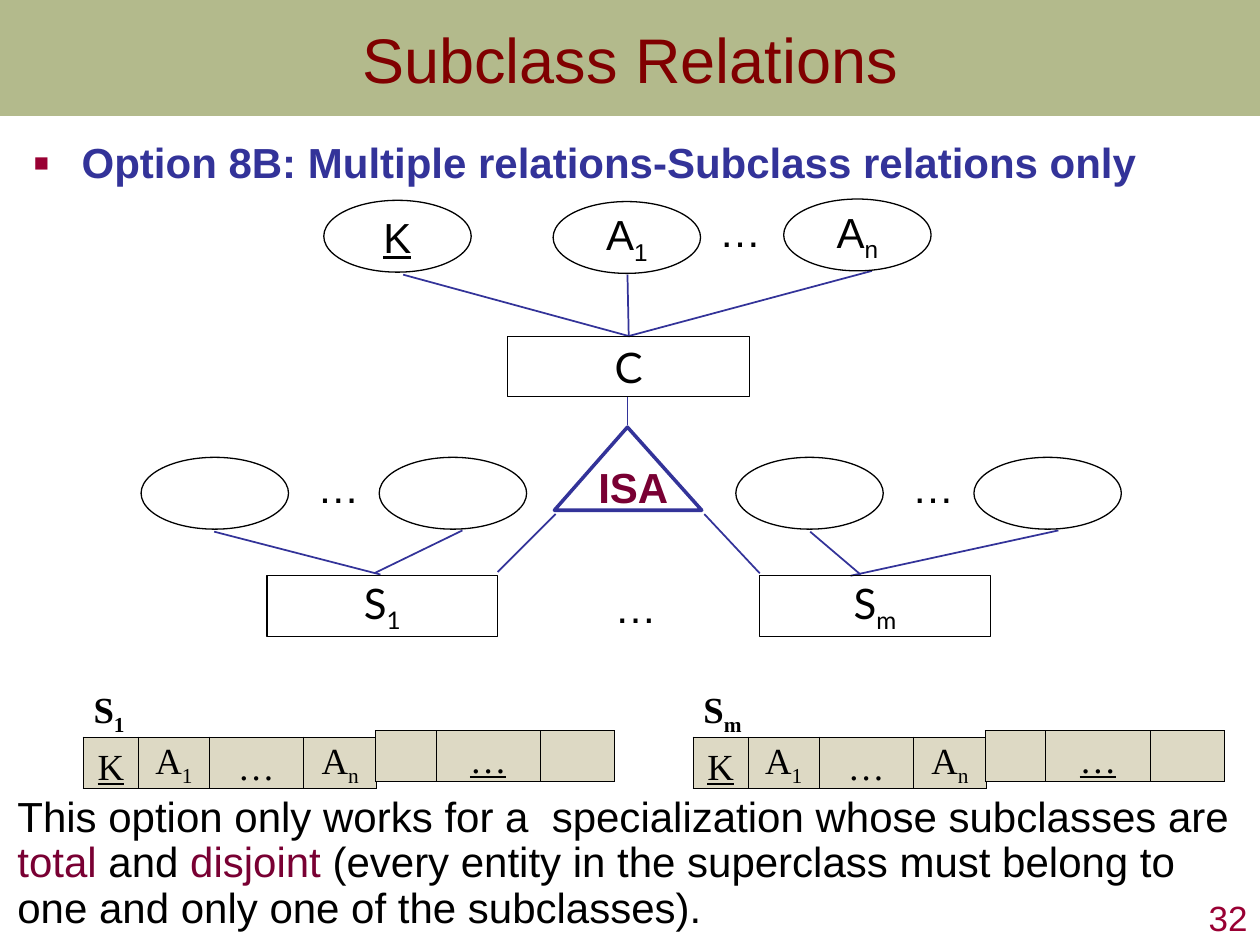
from lxml.etree import SubElement
from pptx import Presentation
from pptx.dml.color import RGBColor
from pptx.enum.shapes import MSO_CONNECTOR, MSO_SHAPE
from pptx.enum.text import MSO_ANCHOR, MSO_AUTO_SIZE, PP_ALIGN
from pptx.oxml import parse_xml
from pptx.oxml.ns import nsdecls, qn
from pptx.util import Inches, Pt

COLORS = {"bar": "76822E", "title": "800000", "bullet": "990033", "blue": "333399",
          "accent": "790033", "ink": "000000", "cell": "DDD9C4", "paper": "FFFFFF"}
SUB = {"baseline": -25000}


def rgb(name):
    return RGBColor.from_string(COLORS[name])


def write(paragraph, *runs, font="Arial", size=24, color="ink", bold=False,
          underline=False, align=None, spacing=None):
    paragraph.alignment = align
    if spacing:
        paragraph.line_spacing = spacing
    for item in runs:
        text, own = item if isinstance(item, tuple) else (item, {})
        run = paragraph.add_run()
        run.text = text
        run.font.name = font
        run.font.size = Pt(size)
        run.font.bold = bold
        run.font.underline = underline
        run.font.color.rgb = rgb(own.get("color", color))
        if "baseline" in own:
            run.font._element.set("baseline", str(own["baseline"]))


class Sketch:
    UNIT = 0.1

    def __init__(self, slide):
        self.slide = slide

    def grid(self, *cells):
        return [Inches(cell * self.UNIT) for cell in cells]

    def title(self, text):
        bar = self.slide.shapes.title
        bar.left, bar.top, bar.width, bar.height = self.grid(0, 0, 100, 9.2)
        bar.fill.solid()
        bar.fill.fore_color.rgb = rgb("bar")
        tint = bar._element.spPr.find(qn("a:solidFill"))[0]
        SubElement(tint, qn("a:alpha")).set("val", "55000")
        frame = bar.text_frame
        frame.auto_size = MSO_AUTO_SIZE.NONE
        frame.vertical_anchor = MSO_ANCHOR.MIDDLE
        write(frame.paragraphs[0], text, size=36, color="title", align=PP_ALIGN.CENTER)

    def text(self, box, *runs, wrap=False, anchor=MSO_ANCHOR.TOP, **style):
        frame = self.slide.shapes.add_textbox(*self.grid(*box)).text_frame
        frame.word_wrap = wrap
        frame.vertical_anchor = anchor
        write(frame.paragraphs[0], *runs, **style)
        return frame.paragraphs[0]

    def bullet(self, box, text):
        paragraph = self.text(box, text, wrap=True, color="blue", bold=True, spacing=0.9)
        paragraph.space_before = Pt(4.8)
        props = paragraph._p.get_or_add_pPr()
        props.set("marL", str(Inches(0.38)))
        props.set("indent", str(-Inches(0.38)))
        tint = SubElement(props, qn("a:buClr"))
        SubElement(tint, qn("a:srgbClr")).set("val", COLORS["bullet"])
        SubElement(props, qn("a:buSzPct")).set("val", "60000")
        SubElement(props, qn("a:buFont")).set("typeface", "Arial")
        SubElement(props, qn("a:buChar")).set("char", "■")

    def outline(self, shape, color="ink", width=0.75):
        shape.shadow.inherit = False
        shape.fill.background()
        shape.line.color.rgb = rgb(color)
        shape.line.width = Pt(width)

    def node(self, kind, box, *runs, **style):
        shape = self.slide.shapes.add_shape(kind, *self.grid(*box))
        self.outline(shape)
        frame = shape.text_frame
        frame.word_wrap = False
        frame.vertical_anchor = MSO_ANCHOR.MIDDLE
        write(frame.paragraphs[0], *runs, align=PP_ALIGN.CENTER, **style)

    def attribute(self, left, top, *runs, **style):
        self.node(MSO_SHAPE.OVAL, (left, top, 11.7, 5.7), *runs, **style)

    def entity(self, left, top, width, *runs):
        self.node(MSO_SHAPE.RECTANGLE, (left, top, width, 4.8), *runs, font="Lato")

    def dots(self, left, top):
        self.text((left, top, 5.4, 5), "…")

    def link(self, *ends):
        line = self.slide.shapes.add_connector(MSO_CONNECTOR.STRAIGHT, *self.grid(*ends))
        line.line.color.rgb = rgb("blue")
        line.line.width = Pt(1)
        SubElement(line._element.spPr, qn("a:effectLst"))

    def triangle(self, apex, right, left):
        builder = self.slide.shapes.build_freeform(*self.grid(*apex))
        builder.add_line_segments([self.grid(*point) for point in (right, left)], close=True)
        self.outline(builder.convert_to_shape(), "blue", 2)

    def border(self, cell, sides):
        props = cell._tc.get_or_add_tcPr()
        for place, side in enumerate("LRTB"):
            paint = (f'<a:solidFill><a:srgbClr val="{COLORS["ink"]}"/></a:solidFill>'
                     if side in sides else "<a:noFill/>")
            props.insert(place, parse_xml(
                f'<a:ln{side} {nsdecls("a")} w="{Pt(0.5)}">{paint}</a:ln{side}>'))

    def fill_cell(self, cell, runs, fill="cell", sides="LRTB", **style):
        cell.fill.solid()
        cell.fill.fore_color.rgb = rgb(fill)
        self.border(cell, sides)
        if runs:
            cell.vertical_anchor = MSO_ANCHOR.BOTTOM
            cell.margin_left = cell.margin_right = cell.margin_top = Inches(0.01)
            cell.margin_bottom = 0
            write(cell.text_frame.paragraphs[0], *runs, font="Times New Roman", size=21, **style)

    def relation(self, left, top, columns, fields, header=None):
        rows = 2 if header else 1
        frame = self.slide.shapes.add_table(
            rows, len(columns), *self.grid(left, top, sum(columns), 3.6 * rows))
        table = frame.table
        table.first_row = table.horz_banding = False
        for column, width in zip(table.columns, self.grid(*columns)):
            column.width = width
        if header:
            for index in range(len(columns)):
                self.fill_cell(table.cell(0, index), header if index == 0 else (),
                               fill="paper", sides="B", bold=True)
            table.cell(0, 0).merge(table.cell(0, 2))
        for index, (runs, underline) in enumerate(fields):
            self.fill_cell(table.cell(rows - 1, index), runs, underline=underline,
                           align=PP_ALIGN.CENTER)


def main():
    deck = Presentation()
    deck.slide_width, deck.slide_height = Inches(10), Inches(7.5)
    sketch = Sketch(deck.slides.add_slide(deck.slide_layouts[5]))
    sketch.title("Subclass Relations")
    sketch.bullet((1.7, 10.8, 94.9, 5), "Option 8B: Multiple relations-Subclass relations only")
    sketch.text((79.2, 70, 20.8, 5), "32", wrap=True, anchor=MSO_ANCHOR.BOTTOM,
                size=20, color="bullet", align=PP_ALIGN.RIGHT)

    for ends in ((32, 21.8, 50, 26.7), (49.8, 21.8, 49.9, 26.6), (69.2, 21.5, 49.8, 26.7),
                 (49.8, 33.7, 49.8, 31.5), (44.1, 40.8, 39.5, 45.4), (55.9, 40.8, 60.3, 45.5),
                 (17, 42.2, 30.2, 45.6), (36.7, 42.1, 29.7, 45.5),
                 (64.3, 42.2, 68.3, 45.6), (84, 42.1, 67.5, 45.7)):
        sketch.link(*ends)

    sketch.attribute(25.7, 15.9, "K", underline=True)
    sketch.attribute(43.9, 16, "A", ("1", SUB))
    sketch.attribute(62.2, 15.8, "A", ("n", SUB))
    sketch.dots(56.1, 15.8)
    sketch.entity(40.3, 26.7, 19.2, "C")
    sketch.triangle((49.8, 33.9), (55.7, 40.5), (44, 40.5))
    sketch.text((46.5, 36.1, 7.6, 5), "ISA", color="accent", bold=True)
    sketch.dots(47.8, 45.7)

    key_fields = [(("K",), True), (("A", ("1", SUB)), False),
                  (("…",), False), (("A", ("n", SUB)), False)]
    own_fields = [((), False), (("…",), True), ((), False)]
    for index, ovals, entity, relation in (("1", 11.2, 21.2, 6.6), ("m", 58.4, 60.3, 55)):
        sketch.attribute(ovals, 36.3)
        sketch.attribute(ovals + 18.9, 36.3)
        sketch.dots(ovals + 13, 36.1)
        sketch.entity(entity, 45.7, 18.3, "S", (index, SUB))
        sketch.relation(relation, 54.4, (4.4, 5.6, 7.5, 5.8), key_fields,
                        header=(" S", (index, SUB)))
        sketch.relation(relation + 23.2, 58, (4.8, 8.3, 5.9), own_fields)

    accent = {"color": "accent"}
    sketch.text((0.4, 62.7, 99.6, 11.9),
                "This option only works for a  specialization whose subclasses are ",
                ("total", accent), " and ", ("disjoint ", accent),
                "(every entity in the superclass must belong to one and only one of the subclasses).",
                wrap=True, spacing=0.9)
    deck.save("out.pptx")


if __name__ == "__main__":
    main()
